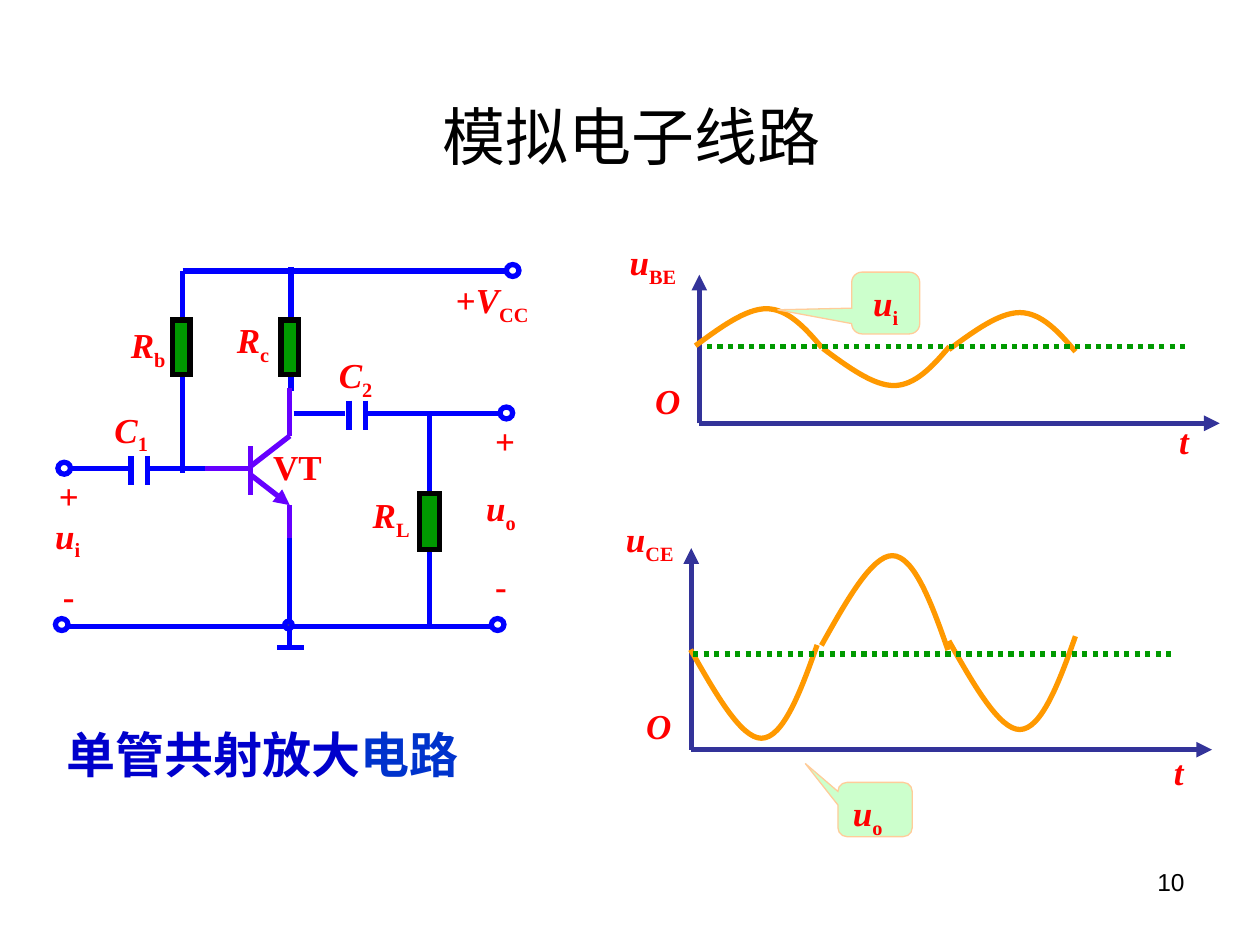
from pptx import Presentation
from pptx.dml.color import RGBColor
from pptx.enum.dml import MSO_LINE
from pptx.enum.shapes import MSO_CONNECTOR, MSO_SHAPE
from pptx.enum.text import MSO_ANCHOR as Anchor, MSO_AUTO_SIZE as AutoSize, PP_ALIGN as Align
from pptx.oxml.ns import qn
from pptx.util import Pt
from lxml.etree import SubElement

BLACK = RGBColor(0x00, 0x00, 0x00)
RED = RGBColor(0xFF, 0x00, 0x00)
BLUE = RGBColor(0x00, 0x00, 0xFF)
PURPLE = RGBColor(0x66, 0x00, 0xFF)
INDIGO = RGBColor(0x33, 0x33, 0x99)
GREEN = RGBColor(0x00, 0x99, 0x00)
ORANGE = RGBColor(0xFF, 0x99, 0x00)
PALE_GREEN = RGBColor(0xCC, 0xFF, 0xCC)
PEACH = RGBColor(0xFF, 0xCC, 0x99)
CAPTION_BLUE = RGBColor(0x00, 0x00, 0xCC)
CAPTION_LIGHT = RGBColor(0x00, 0x33, 0xCC)
SERIF, SANS = "Times New Roman", "Arial"

# Half wave in unit coordinates: a start point and two cubic segments
HALF_WAVE = [(0, 0.05), (0.2, 0.53), (0.4, 1), (0.56, 1), (0.73, 1), (0.87, 0.5), (1, 0)]


def add_run(paragraph, text, size=20, font=SERIF, color=RED, bold=True, italic=False,
            subscript=False):
    run = paragraph.add_run()
    run.text = text
    run.font.size = Pt(size)
    run.font.name = font
    run.font.bold = bold
    run.font.italic = italic
    run.font.color.rgb = color
    if subscript:
        run.font._element.set("baseline", "-25000")


def add_symbol(paragraph, upright="", italic="", subscript=""):
    """Write a symbol: upright part, italic letter, subscript."""
    if upright:
        add_run(paragraph, upright)
    if italic:
        add_run(paragraph, italic, italic=True)
    if subscript:
        add_run(paragraph, subscript, subscript=True)


def add_box(shapes, left, top, width, height, indent=0):
    box = shapes.add_textbox(Pt(left), Pt(top), Pt(width), Pt(height))
    box.text_frame.word_wrap = True
    box.text_frame.auto_size = AutoSize.SHAPE_TO_FIT_TEXT
    paragraph = box.text_frame.paragraphs[0]
    if indent:
        paragraph._p.get_or_add_pPr().set("marL", str(Pt(indent)))
    return paragraph


def add_label(shapes, left, top, width, upright="", italic="", subscript="", indent=0):
    height = 34.6 if subscript else 31.7
    paragraph = add_box(shapes, left, top, width, height, indent)
    add_symbol(paragraph, upright, italic, subscript)


def add_wire(shapes, x1, y1, x2, y2, color=BLUE, arrow=False, dash=None):
    wire = shapes.add_connector(MSO_CONNECTOR.STRAIGHT, Pt(x1), Pt(y1), Pt(x2), Pt(y2))
    wire.line.color.rgb = color
    wire.line.width = Pt(3)
    if dash:
        wire.line.dash_style = dash
    properties = wire._element.spPr
    if arrow:
        SubElement(properties.find(qn("a:ln")), qn("a:tailEnd"), type="triangle")
    SubElement(properties, qn("a:effectLst"))


def add_preset(shapes, kind, left, top, width, height, fill=None, line=BLUE, weight=3):
    shape = shapes.add_shape(kind, Pt(left), Pt(top), Pt(width), Pt(height))
    shape.shadow.inherit = False
    if fill is None:
        shape.fill.background()
    else:
        shape.fill.solid()
        shape.fill.fore_color.rgb = fill
    shape.line.color.rgb = line
    shape.line.width = Pt(weight)
    SubElement(shape._element.spPr.find(qn("a:ln")), qn("a:miter"), lim="800000")
    return shape


def add_callout(shapes, left, top, width, height, pointer, subscript, align):
    shape = add_preset(shapes, MSO_SHAPE.ROUNDED_RECTANGULAR_CALLOUT, left, top, width, height,
                       fill=PALE_GREEN, line=PEACH, weight=0.75)
    shape.adjustments[0], shape.adjustments[1] = pointer
    shape.text_frame.vertical_anchor = Anchor.TOP
    paragraph = shape.text_frame.paragraphs[0]
    paragraph.alignment = align
    add_symbol(paragraph, italic="u", subscript=subscript)


def add_half_wave(shapes, left, base, width, height):
    """Draw one half wave; a negative height makes it rise."""
    points = [(Pt(left + x * width), Pt(base + y * height)) for x, y in HALF_WAVE]
    builder = shapes.build_freeform(*points[0])
    builder.add_line_segments(points[1:], close=False)
    curve = builder.convert_to_shape()
    # Turn each three line segments into one cubic curve
    outline = next(curve._element.iter(qn("a:path")))
    segments = outline.findall(qn("a:lnTo"))
    for first in range(0, len(segments), 3):
        cubic = SubElement(outline, qn("a:cubicBezTo"))
        for segment in segments[first:first + 3]:
            cubic.append(segment[0])
            outline.remove(segment)
    curve.shadow.inherit = False
    curve.fill.background()
    curve.line.color.rgb = ORANGE
    curve.line.width = Pt(3)


def add_axes(shapes, x, y, right, top):
    add_wire(shapes, x, y, right, y, INDIGO, arrow=True)
    add_wire(shapes, x, y, x, top, INDIGO, arrow=True)


def draw_circuit(shapes):
    # Vertical branches
    for x, top, bottom in ((245.5, 236.2, 358.6), (104.4, 154.8, 270), (166.3, 152.6, 223.2)):
        add_wire(shapes, x, top, x, bottom)
    # Transistor
    for ends in ((165.6, 288.7, 165.6, 316.1), (143.3, 254.9, 143.3, 283),
                 (143.3, 266.4, 165.6, 249.1), (165.6, 249.1, 165.6, 221.8),
                 (143.3, 267.8, 115.9, 267.8)):
        add_wire(shapes, *ends, PURPLE)
    add_wire(shapes, 143.3, 271.4, 165.6, 288.7, PURPLE, arrow=True)
    # Horizontal wires, then the emitter lead and ground
    for x1, x2, y in ((210.2, 287.3, 236.2), (167.8, 197.3, 236.2), (104.4, 290.2, 154.8),
                      (39.6, 281.5, 357.8), (85.7, 117.4, 267.8), (74.9, 41, 267.8),
                      (158.4, 173.5, 370.1)):
        add_wire(shapes, x1, y, x2, y)
    add_wire(shapes, 165.6, 307.4, 165.6, 369.4)
    # Capacitor plates
    for x, top in ((74.9, 260.6), (84.2, 260.6), (199.4, 229), (208.8, 229)):
        add_wire(shapes, x, top, x, top + 16.6)
    # Resistors
    for left, top, width, height in ((98.6, 182.9, 10.1, 31), (160.6, 182.9, 10.1, 31),
                                     (239.8, 282.2, 11.5, 31.7)):
        add_preset(shapes, MSO_SHAPE.RECTANGLE, left, top, width, height, GREEN, BLACK)
    # Terminals and ground node
    for left, top in ((285.8, 232.6), (289.4, 151.2), (31.7, 353.5), (280.8, 353.5), (33.1, 264.2)):
        add_preset(shapes, MSO_SHAPE.OVAL, left, top, 7.2, 6.8)
    add_preset(shapes, MSO_SHAPE.OVAL, 162.7, 355, 4.3, 4.3, INDIGO)
    # Component and voltage labels
    for left, top, width, letter, subscript in (
            (67.7, 181.4, 57.6, "R", "b"), (128.2, 178.6, 63.4, "R", "c"),
            (205.9, 278.6, 41.8, "R", "L"), (58.3, 229.7, 39.6, "C", "1"),
            (186.5, 198.7, 46.8, "C", "2"), (24.5, 290.2, 38.9, "u", "i"),
            (270.7, 274.3, 43.2, "u", "o")):
        add_label(shapes, left, top, width, italic=letter, subscript=subscript)
    add_label(shapes, 253.4, 155.5, 68.4, upright="+", italic="V", subscript="CC")
    for left, top, width, text in ((149, 251.3, 61.2, "VT"), (26.6, 267.8, 31.7, "+"),
                                   (28.8, 324.7, 38.2, "-"), (275.8, 236.2, 31.7, "+"),
                                   (275.8, 319, 38.2, "-")):
        add_label(shapes, left, top, width, upright=text)


def draw_waveforms(slide):
    # Base-emitter axes
    shapes = slide.shapes.add_group_shape().shapes
    add_axes(shapes, 399.6, 241.9, 697, 157)
    add_label(shapes, 362.2, 213.1, 43.9, italic="O", indent=5)
    add_label(shapes, 666.7, 236.2, 28.8, italic="t")
    add_label(shapes, 342.7, 133.9, 59, italic="u", subscript="BE", indent=10)
    # Collector-emitter axes
    shapes = slide.shapes.add_group_shape().shapes
    add_axes(shapes, 395, 428.4, 692.6, 313.2)
    add_label(shapes, 357.1, 398.9, 41.8, italic="O", indent=5)
    add_label(shapes, 663.8, 425.5, 28.8, italic="t")
    add_label(shapes, 340.6, 292.3, 59, italic="u", subscript="CE", indent=10)
    # Half waves of output and input: left, base line, height
    for waves in (((394.6, 368.6, 53.3), (469.4, 371.5, -54), (542.2, 363.6, 53.3)),
                  ((397.4, 198.7, -22.3), (470.2, 198, 22.3), (542.2, 200.9, -22.3))):
        shapes = slide.shapes.add_group_shape().shapes
        for left, base, height in waves:
            add_half_wave(shapes, left, base, 72.3, height)
    # Quiescent levels
    for x1, x2, y in ((403.9, 678.2, 198), (396, 671, 373.7)):
        add_wire(slide.shapes, x1, y, x2, y, GREEN, dash=MSO_LINE.ROUND_DOT)
    add_callout(slide.shapes, 478.8, 447.1, 42.5, 31, (-0.94, -0.85), "o", Align.LEFT)
    add_callout(slide.shapes, 486.7, 155.5, 38.9, 35.3, (-1.59, 0.11), "i", Align.CENTER)


def main():
    presentation = Presentation()
    presentation.slide_width, presentation.slide_height = Pt(720), Pt(540)
    slide = presentation.slides.add_slide(presentation.slide_layouts[5])

    # Title
    title = slide.shapes.title
    title.left, title.top, title.width, title.height = Pt(36.7), Pt(49), Pt(648), Pt(56.9)
    title.text_frame.vertical_anchor = Anchor.MIDDLE
    paragraph = title.text_frame.paragraphs[0]
    paragraph.alignment = Align.CENTER
    add_run(paragraph, "模拟电子线路", size=36, font=SANS, color=BLACK, bold=False)

    draw_circuit(slide.shapes.add_group_shape().shapes)

    # Circuit caption
    caption = add_box(slide.shapes, 24.5, 410.4, 262.8, 41, indent=6.5)
    add_run(caption, "单管共射放大", size=28, font=SANS, color=CAPTION_BLUE)
    add_run(caption, "电路", size=28, color=CAPTION_LIGHT)

    draw_waveforms(slide)

    # Page number
    number = add_box(slide.shapes, 516.2, 491.8, 167.8, 37.4)
    number.alignment = Align.RIGHT
    add_run(number, "10", size=14, font=SANS, color=BLACK, bold=False)

    presentation.save("out.pptx")


if __name__ == "__main__":
    main()
